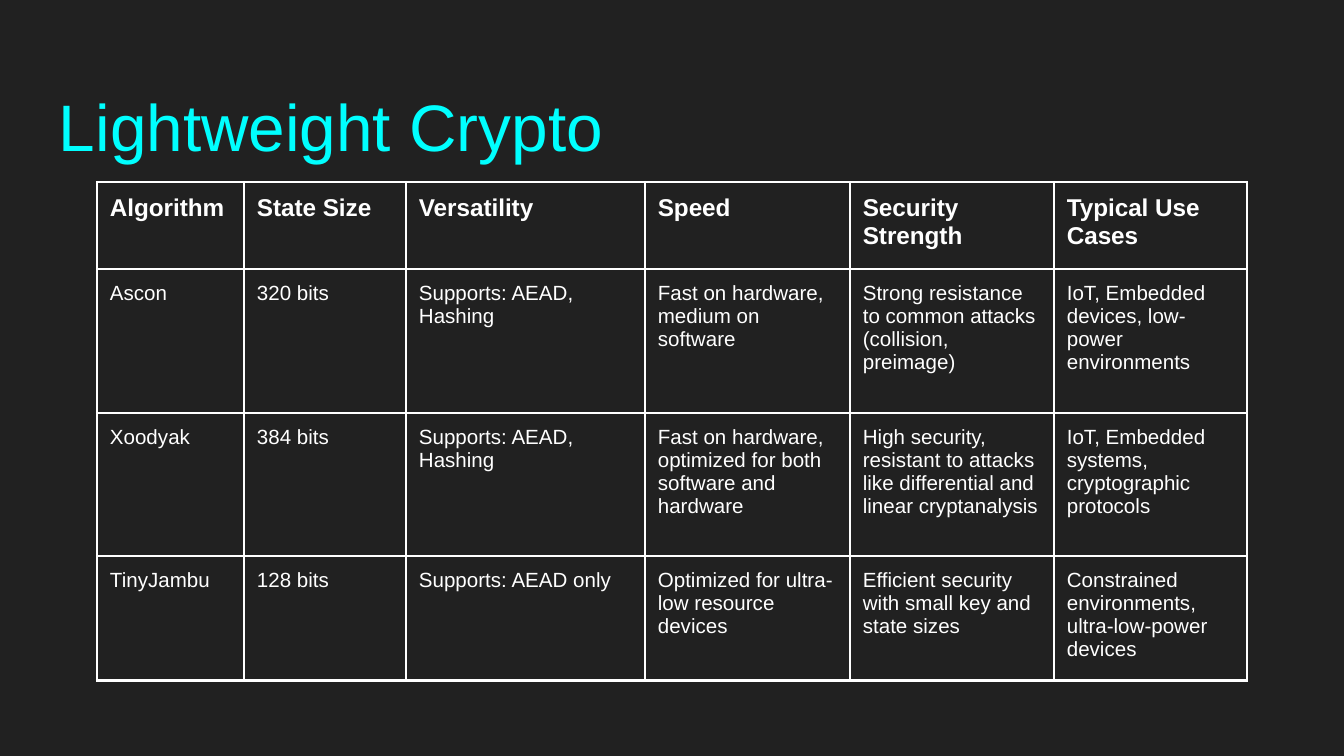
from lxml import etree
from pptx import Presentation
from pptx.dml.color import RGBColor
from pptx.enum.text import MSO_ANCHOR
from pptx.oxml.ns import qn
from pptx.util import Emu, Pt

TOP = MSO_ANCHOR.TOP
BACKGROUND = RGBColor(0x21, 0x21, 0x21)
CYAN = RGBColor(0x00, 0xFF, 0xFF)
WHITE = RGBColor(0xFF, 0xFF, 0xFF)
PX = 914400 / 134.4
FONT = "Arial"
INSET = 13
BORDER = Pt(1.5)

COLUMN_WIDTHS = [147, 162, 239, 205, 204, 193]
ROW_HEIGHTS = [87, 144, 143, 102]
ALGORITHMS = [
    ["Algorithm", "State Size", "Versatility", "Speed", "Security Strength", "Typical Use Cases"],
    ["Ascon", "320 bits", "Supports: AEAD, Hashing",
     "Fast on hardware, medium on software",
     "Strong resistance to common attacks (collision, preimage)",
     "IoT, Embedded devices, low-power environments"],
    ["Xoodyak", "384 bits", "Supports: AEAD, Hashing",
     "Fast on hardware, optimized for both software and hardware",
     "High security, resistant to attacks like differential and linear cryptanalysis",
     "IoT, Embedded systems, cryptographic protocols"],
    ["TinyJambu", "128 bits", "Supports: AEAD only",
     "Optimized for ultra-low resource devices",
     "Efficient security with small key and state sizes",
     "Constrained environments, ultra-low-power devices"],
]


def px(length):
    """Turn pixels into EMU."""
    return Emu(round(length * PX))


class SlideBuilder:
    """Holds the style and the current slide."""

    def __init__(self, presentation):
        self.slide = presentation.slides.add_slide(presentation.slide_layouts[6])
        fill = self.slide.background.fill
        fill.solid()
        fill.fore_color.rgb = BACKGROUND

    def style_text(self, text_frame, text, size, color, bold=False):
        """Set the text and format its run."""
        text_frame.text = text
        text_frame.word_wrap = True
        font = text_frame.paragraphs[0].runs[0].font
        font.name, font.size, font.bold = FONT, Pt(size), bold
        font.color.rgb = color

    def title(self, text, left, top, width, height):
        """Add the slide title."""
        shape = self.slide.shapes.add_textbox(px(left), px(top), px(width), px(height))
        text_frame = shape.text_frame
        text_frame.vertical_anchor = TOP
        text_frame.margin_left = text_frame.margin_right = px(INSET)
        text_frame.margin_top, text_frame.margin_bottom = px(20), 0
        self.style_text(text_frame, text, 35.2, CYAN)

    def border(self, cell):
        """Draw a line on each side of a cell."""
        properties = cell._tc.get_or_add_tcPr()
        for index, side in enumerate(("a:lnL", "a:lnR", "a:lnT", "a:lnB")):
            line = etree.Element(qn(side), w=str(BORDER))
            fill = etree.SubElement(line, qn("a:solidFill"))
            etree.SubElement(fill, qn("a:srgbClr"), val=str(WHITE))
            properties.insert(index, line)

    def table(self, rows, left, top, widths, heights):
        """Add a bordered table with a bold first row."""
        frame = self.slide.shapes.add_table(
            len(rows), len(widths), px(left), px(top), px(sum(widths)), px(sum(heights)))
        table = frame.table
        for column, width in zip(table.columns, widths):
            column.width = px(width)
        for row_index, (row, height) in enumerate(zip(table.rows, heights)):
            row.height = px(height)
            is_header = row_index == 0
            for cell, text in zip(row.cells, rows[row_index]):
                cell.margin_left = cell.margin_right = px(INSET)
                cell.margin_top = cell.margin_bottom = px(INSET)
                cell.vertical_anchor = TOP
                cell.fill.background()
                self.style_text(cell.text_frame, text, 13 if is_header else 11, WHITE, is_header)
                self.border(cell)


def main():
    """Build and save the slide."""
    presentation = Presentation()
    presentation.slide_width, presentation.slide_height = px(1344), px(756)
    builder = SlideBuilder(presentation)
    builder.title("Lightweight Crypto", 46, 66, 1252, 85)
    builder.table(ALGORITHMS, 97, 182, COLUMN_WIDTHS, ROW_HEIGHTS)
    presentation.save("out.pptx")


if __name__ == "__main__":
    main()
